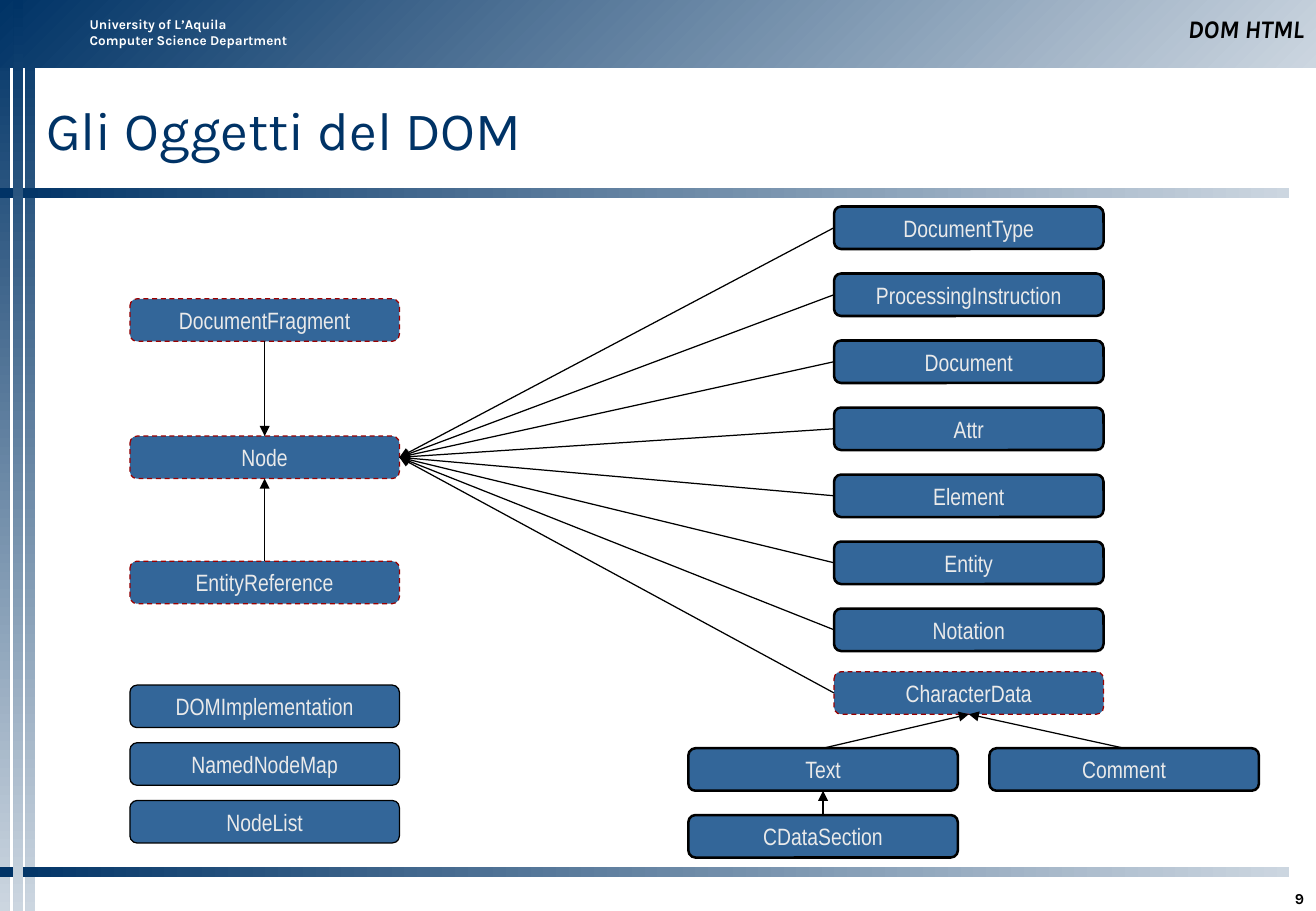
import pptx
import pptx.util
import pptx.dml.color
import pptx.enum.dml
import pptx.enum.shapes
import pptx.enum.text
import pptx.oxml.ns
import lxml.etree

Inches, Pt = pptx.util.Inches, pptx.util.Pt
Shape = pptx.enum.shapes.MSO_SHAPE
Align, Anchor = pptx.enum.text.PP_ALIGN, pptx.enum.text.MSO_ANCHOR
WIDTH, HEIGHT = 10.84, 7.5
NAVY, PALE, STEEL, BLACK, RED = "003366", "CCD6E0", "336699", "000000", "9A0000"
BOX_WIDTH, BOX_HEIGHT = 2.22, 0.35
TOP, LEFT, BOTTOM, RIGHT = range(4)  # connection sites of a box

SOLID, THIN, DASHED = (BLACK, 1.5, False), (BLACK, 0.75, False), (RED, 0.75, True)


def colour(value):
    return pptx.dml.color.RGBColor.from_string(value)


def add_xml(parent, tag, **attributes):
    lxml.etree.SubElement(parent, pptx.oxml.ns.qn(tag), attributes)


def write(shape, text, size, font, hue, align=Align.LEFT, anchor=Anchor.TOP,
          bold=False, italic=False, before=0, insets=(0.1, 0.05, 0.1, 0.05), wrap=True):
    frame = shape.text_frame
    frame.word_wrap = wrap
    frame.vertical_anchor = anchor
    frame.margin_left, frame.margin_top, frame.margin_right, frame.margin_bottom = map(Inches, insets)
    para = frame.paragraphs[0]
    para.text = text
    para.alignment = align
    para.space_before = Pt(before)
    for span in para.runs:
        span.font.size, span.font.name = Pt(size), font
        span.font.bold, span.font.italic = bold, italic
        span.font.color.rgb = colour(hue)


def add_band(page, left, top, width, height, angle):
    """Add a borderless bar fading from navy to pale; angle is counter-clockwise."""
    band = page.shapes.add_shape(Shape.RECTANGLE, *map(Inches, (left, top, width, height)))
    band.shadow.inherit = False
    band.line.fill.background()
    band.fill.gradient()
    band.fill.gradient_angle = angle
    for stop, hue in zip(band.fill.gradient_stops, (NAVY, PALE)):
        stop.color.rgb = colour(hue)


def add_label(page, left, top, width, height, text, size, hue=BLACK, **style):
    label = page.shapes.add_textbox(*map(Inches, (left, top, width, height)))
    write(label, text, size, "Karla", hue, bold=True, **style)


def add_frame(page, width, height):
    """Add the bands and the small texts around the content."""
    for left in (0, 0.21):
        add_band(page, left, 0, 0.08, height, 270)
    add_band(page, 0, 0, width, 0.56, 315)
    for top in (1.55, height - 0.36):
        add_band(page, 0, top, width - 0.22, 0.08, 0)
    add_band(page, 0.11, 0, 0.08, height, 270)
    add_label(page, 0.64, 0.08, 2.01, 0.37,
              "University of L’Aquila\nComputer Science Department", 8, "FFFFFF", before=5)
    add_label(page, width - 5.24, 0.08, 5.24, 0.33, "DOM HTML", 15,
              align=Align.RIGHT, anchor=Anchor.BOTTOM, italic=True)
    add_label(page, width - 1.18, height - 0.28, 1.18, 0.25, "9", 9,
              align=Align.RIGHT, anchor=Anchor.BOTTOM, insets=(0.1, 0.05, 0.1, 0))


def add_title(page, left, top, width, height):
    title = page.shapes.title
    title.left, title.top, title.width, title.height = map(Inches, (left, top, width, height))
    write(title, "Gli Oggetti del DOM", 32, "Karla", NAVY, anchor=Anchor.MIDDLE, insets=(0, 0, 0, 0))


def add_object(page, left, top, name, outline):
    hue, weight, dashed = outline
    box = page.shapes.add_shape(Shape.FLOWCHART_ALTERNATE_PROCESS,
                                *map(Inches, (left, top, BOX_WIDTH, BOX_HEIGHT)))
    box.shadow.inherit = False
    box.fill.solid()
    box.fill.fore_color.rgb = colour(STEEL)
    box.line.color.rgb = colour(hue)
    box.line.width = Pt(weight)
    if dashed:
        box.line.dash_style = pptx.enum.dml.MSO_LINE.DASH
    write(box, name, 14, "Arial Narrow", "EAEAEA", align=Align.CENTER,
          anchor=Anchor.MIDDLE, before=8.8, wrap=False)
    return box


def add_arrow(page, child, child_site, parent, parent_site):
    arrow = page.shapes.add_connector(pptx.enum.shapes.MSO_CONNECTOR.STRAIGHT, 0, 0, 0, 0)
    arrow.begin_connect(child, child_site)
    arrow.end_connect(parent, parent_site)
    arrow.line.color.rgb = colour(BLACK)
    arrow.line.width = Pt(0.75)
    add_xml(arrow.line._get_or_add_ln(), "a:tailEnd", type="triangle")
    add_xml(arrow._element.spPr, "a:effectLst")


def add_node_column(page, left, top):
    """Add the left column and return the Node box."""
    fragment = add_object(page, left, top, "DocumentFragment", DASHED)
    node = add_object(page, left, top + 1.13, "Node", DASHED)
    reference = add_object(page, left, top + 2.16, "EntityReference", DASHED)
    add_arrow(page, fragment, BOTTOM, node, TOP)
    add_arrow(page, reference, TOP, node, BOTTOM)
    for row, name in enumerate(("DOMImplementation", "NamedNodeMap", "NodeList")):
        add_object(page, left, top + 3.18 + row * 0.95 / 2, name, THIN)
    return node


def add_subtypes(page, left, top, node):
    """Add the types derived from Node and return the CharacterData box."""
    names = ("DocumentType", "ProcessingInstruction", "Document", "Attr",
             "Element", "Entity", "Notation")
    step = 3.31 / (len(names) - 1)
    boxes = [add_object(page, left, top + row * step, name, SOLID) for row, name in enumerate(names)]
    boxes.append(add_object(page, left, top + 3.83, "CharacterData", DASHED))
    for box in boxes:
        add_arrow(page, box, LEFT, node, RIGHT)
    return boxes[-1]


def add_character_types(page, left, top, character_data):
    text = add_object(page, left, top, "Text", SOLID)
    comment = add_object(page, left + 2.48, top, "Comment", SOLID)
    section = add_object(page, left, top + 0.55, "CDataSection", SOLID)
    for box in (text, comment):
        add_arrow(page, box, TOP, character_data, BOTTOM)
    add_arrow(page, section, TOP, text, BOTTOM)


def main():
    deck = pptx.Presentation()
    deck.slide_width, deck.slide_height = Inches(WIDTH), Inches(HEIGHT)
    page = deck.slides.add_slide(deck.slide_layouts[5])
    add_frame(page, WIDTH, HEIGHT)
    add_title(page, 0.38, 0.58, 10.27, 0.96)
    node = add_node_column(page, 1.07, 2.46)
    character_data = add_subtypes(page, 6.87, 1.7, node)
    add_character_types(page, 5.67, 6.16, character_data)
    deck.save("out.pptx")


if __name__ == "__main__":
    main()
